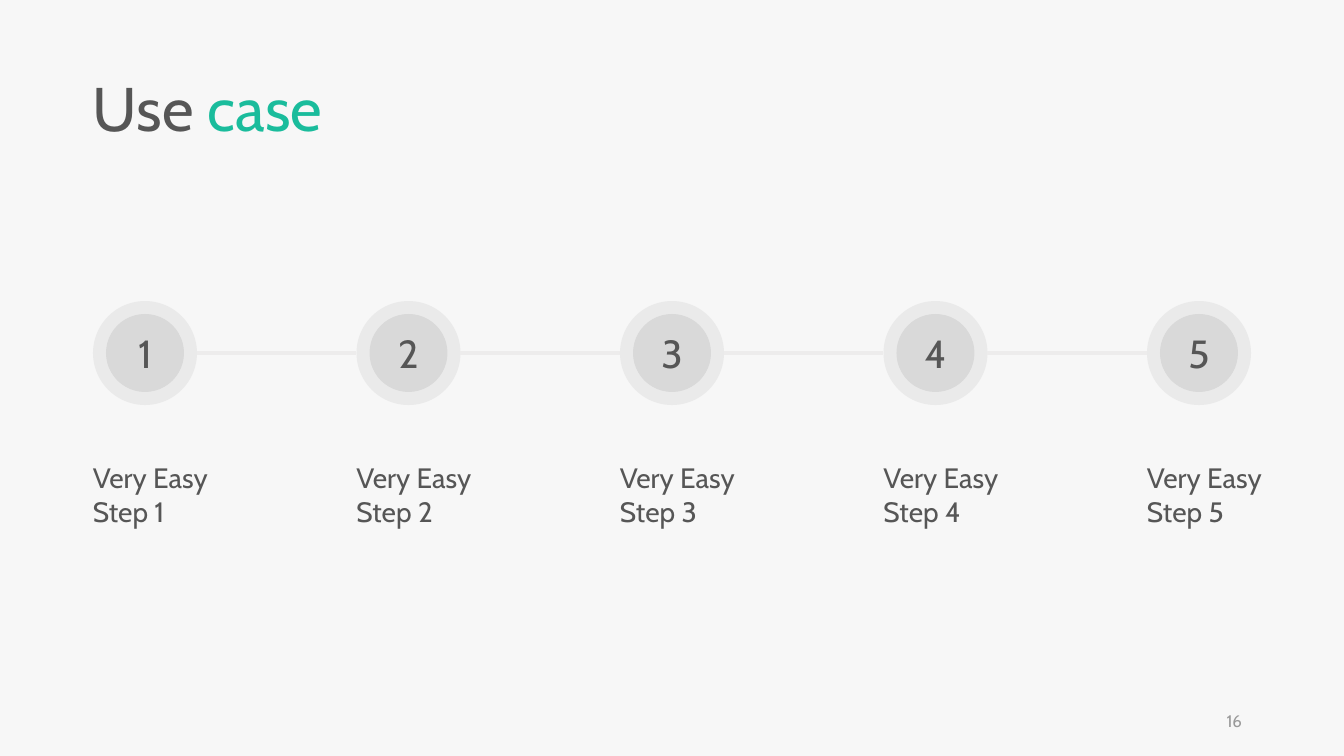
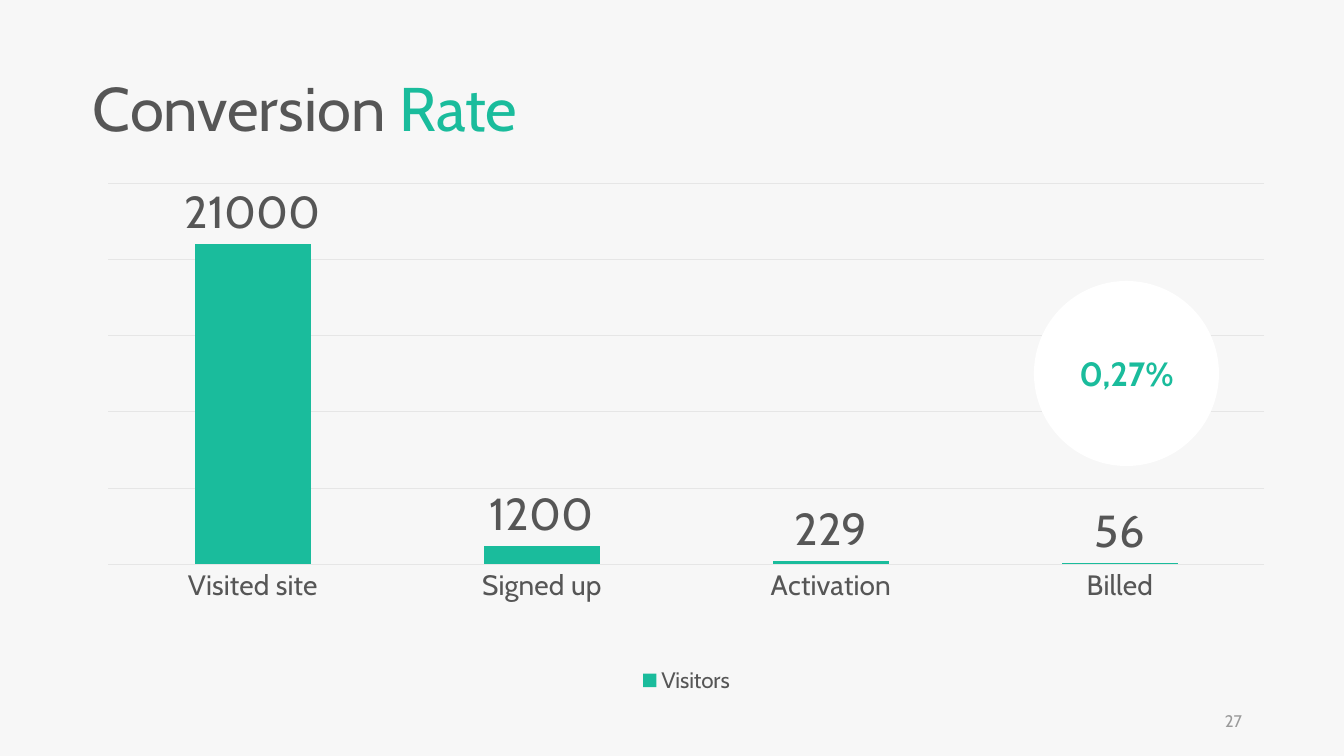
from lxml import etree
from pptx import Presentation
from pptx.chart.data import CategoryChartData
from pptx.dml.color import RGBColor
from pptx.enum.chart import XL_CHART_TYPE, XL_LABEL_POSITION, XL_LEGEND_POSITION, XL_TICK_MARK
from pptx.enum.shapes import MSO_CONNECTOR, MSO_SHAPE
from pptx.enum.text import MSO_ANCHOR, MSO_AUTO_SIZE, PP_ALIGN
from pptx.oxml import parse_xml
from pptx.oxml.ns import nsdecls, qn
from pptx.util import Pt

PX = 914400 / 100.8
FONT = "Cabin"
COLORS = {
    "background": "F7F7F7",
    "text": "565656",
    "accent": "1ABC9C",
    "step": "D9D9D9",
    "link": "EDECEC",
    "grid": "E6E6E6",
    "badge": "FFFFFF",
    "page": "9A9A9A",
}

STEPS = [
    ("1", "Very Easy Step 1"),
    ("2", "Very Easy Step 2"),
    ("3", "Very Easy Step 3"),
    ("4", "Very Easy Step 4"),
    ("5", "Very Easy Step 5"),
]
FUNNEL = [("Visited site", 21000), ("Signed up", 1200), ("Activation", 229), ("Billed", 56)]
SERIES_NAME = "Visitors"
CONVERSION = "0,27%"

LEFT = 93
TITLE_BOX = (LEFT, 73, 494, 78)
PAGE_BOX = (950, 701, 302, 40)
RING_TOP, RING_SIZE, RING_WIDTH = 301, 104, 13
LAST_STEP_LEFT = 1147
LABEL_TOP, LABEL_WIDTH, LABEL_HEIGHT = 456, 170, 78
CHART_BOX = (LEFT, 168, 1187, 530)
BADGE_BOX = (1034, 281, 185, 185)
PLOT_AREA = {"x": 0.013, "y": 0.029, "w": 0.974, "h": 0.719}


def px(*lengths):
    return [round(length * PX) for length in lengths]


def rgb(name):
    return RGBColor.from_string(COLORS[name])


def style_font(font, size, color="text", bold=None):
    font.name, font.size, font.bold = FONT, Pt(size), bold
    font.color.rgb = rgb(color)


def style_line(line, color, width):
    line.color.rgb = rgb(color)
    line.width = Pt(width)


def write(shape, text, size, color="text", align=PP_ALIGN.LEFT, anchor=MSO_ANCHOR.TOP, bold=None):
    frame = shape.text_frame
    frame.word_wrap = True
    frame.vertical_anchor = anchor
    paragraph = frame.paragraphs[0]
    paragraph.text = text
    paragraph.alignment = align
    style_font(paragraph.font, size, color, bold)
    return frame


def add_circle(shapes, box, color, alpha=None):
    circle = shapes.add_shape(MSO_SHAPE.OVAL, *px(*box))
    circle.shadow.inherit = False
    circle.fill.solid()
    circle.fill.fore_color.rgb = rgb(color)
    circle.line.fill.background()
    if alpha is not None:
        fill_color = circle.fill._xPr.find(qn("a:solidFill"))[0]
        etree.SubElement(fill_color, qn("a:alpha")).set("val", str(alpha * 1000))
    return circle


def add_slide(prs, plain, accent, page):
    """Add a slide with its two-colour title and page number."""
    slide = prs.slides.add_slide(prs.slide_layouts[5])
    title = slide.shapes.title
    title.left, title.top, title.width, title.height = px(*TITLE_BOX)
    frame = write(title, plain, 44)
    frame.auto_size = MSO_AUTO_SIZE.NONE
    frame.margin_left = 0
    paragraph = frame.paragraphs[0]
    paragraph.line_spacing = 0.9
    highlight = paragraph.add_run()
    highlight.text = accent
    highlight.font.color.rgb = rgb("accent")

    page_number = slide.shapes.add_textbox(*px(*PAGE_BOX))
    write(page_number, page, 12, "page", PP_ALIGN.RIGHT, MSO_ANCHOR.MIDDLE)
    return slide


def add_step(slide, left, number, label):
    group = slide.shapes.add_group_shape()
    disc_size = RING_SIZE - 2 * RING_WIDTH
    add_circle(group.shapes, (left + RING_WIDTH, RING_TOP + RING_WIDTH, disc_size, disc_size), "step")
    ring = add_circle(group.shapes, (left, RING_TOP, RING_SIZE, RING_SIZE), "step", alpha=42)
    write(ring, number, 28, align=PP_ALIGN.CENTER, anchor=MSO_ANCHOR.MIDDLE)

    caption = slide.shapes.add_textbox(*px(left, LABEL_TOP, LABEL_WIDTH, LABEL_HEIGHT))
    write(caption, label, 20).margin_left = 0


def add_link(slide, start, end):
    middle = RING_TOP + RING_SIZE / 2
    link = slide.shapes.add_connector(MSO_CONNECTOR.STRAIGHT, *px(start, middle, end, middle))
    style_line(link.line, "link", 2.25)
    etree.SubElement(link._element.spPr, qn("a:effectLst"))


def add_steps(slide):
    pitch = (LAST_STEP_LEFT - LEFT) / (len(STEPS) - 1)
    for index, (number, label) in enumerate(STEPS):
        left = LEFT + index * pitch
        add_step(slide, left, number, label)
        if index < len(STEPS) - 1:
            add_link(slide, left + RING_SIZE, left + pitch)


def place_plot(chart):
    """Fix the inner plot area as fractions of the chart."""
    plot_area = chart._chartSpace.chart.plotArea
    for layout in plot_area.findall(qn("c:layout")):
        plot_area.remove(layout)
    sizes = "".join(f'<c:{key} val="{value}"/>' for key, value in PLOT_AREA.items())
    plot_area.insert(0, parse_xml(
        f'<c:layout {nsdecls("c")}><c:manualLayout><c:layoutTarget val="inner"/>'
        f'<c:xMode val="edge"/><c:yMode val="edge"/>{sizes}</c:manualLayout></c:layout>'))


def add_funnel_chart(slide):
    data = CategoryChartData()
    data.categories = [stage for stage, _ in FUNNEL]
    data.add_series(SERIES_NAME, [count for _, count in FUNNEL])
    chart = slide.shapes.add_chart(XL_CHART_TYPE.COLUMN_CLUSTERED, *px(*CHART_BOX), data).chart
    style_font(chart.font, 10)
    chart.has_title = False
    place_plot(chart)

    stages = chart.category_axis
    stages.major_tick_mark = stages.minor_tick_mark = XL_TICK_MARK.NONE
    style_font(stages.tick_labels.font, 20)
    style_line(stages.format.line, "grid", 0.75)

    counts = chart.value_axis
    counts.visible = False
    counts.minimum_scale, counts.maximum_scale, counts.major_unit = 0, 25000, 5000
    style_line(counts.major_gridlines.format.line, "grid", 0.75)

    chart.has_legend = True
    chart.legend.position = XL_LEGEND_POSITION.BOTTOM
    chart.legend.include_in_layout = False
    style_font(chart.legend.font, 16)

    columns = chart.plots[0]
    columns.gap_width = 150
    columns.vary_by_categories = False
    visitors = columns.series[0]
    visitors.format.fill.solid()
    visitors.format.fill.fore_color.rgb = rgb("accent")
    labels = visitors.data_labels
    labels.show_value = True
    labels.position = XL_LABEL_POSITION.OUTSIDE_END
    style_font(labels.font, 32)


def main():
    prs = Presentation()
    prs.slide_width, prs.slide_height = px(1344, 756)
    background = prs.slide_master.background.fill
    background.solid()
    background.fore_color.rgb = rgb("background")

    add_steps(add_slide(prs, "Use ", "case", "16"))

    conversion = add_slide(prs, "Conversion ", "Rate", "27")
    add_funnel_chart(conversion)
    badge = add_circle(conversion.shapes, BADGE_BOX, "badge")
    write(badge, CONVERSION, 24, "accent", PP_ALIGN.CENTER, MSO_ANCHOR.MIDDLE, bold=True)

    prs.save("out.pptx")


if __name__ == "__main__":
    main()
